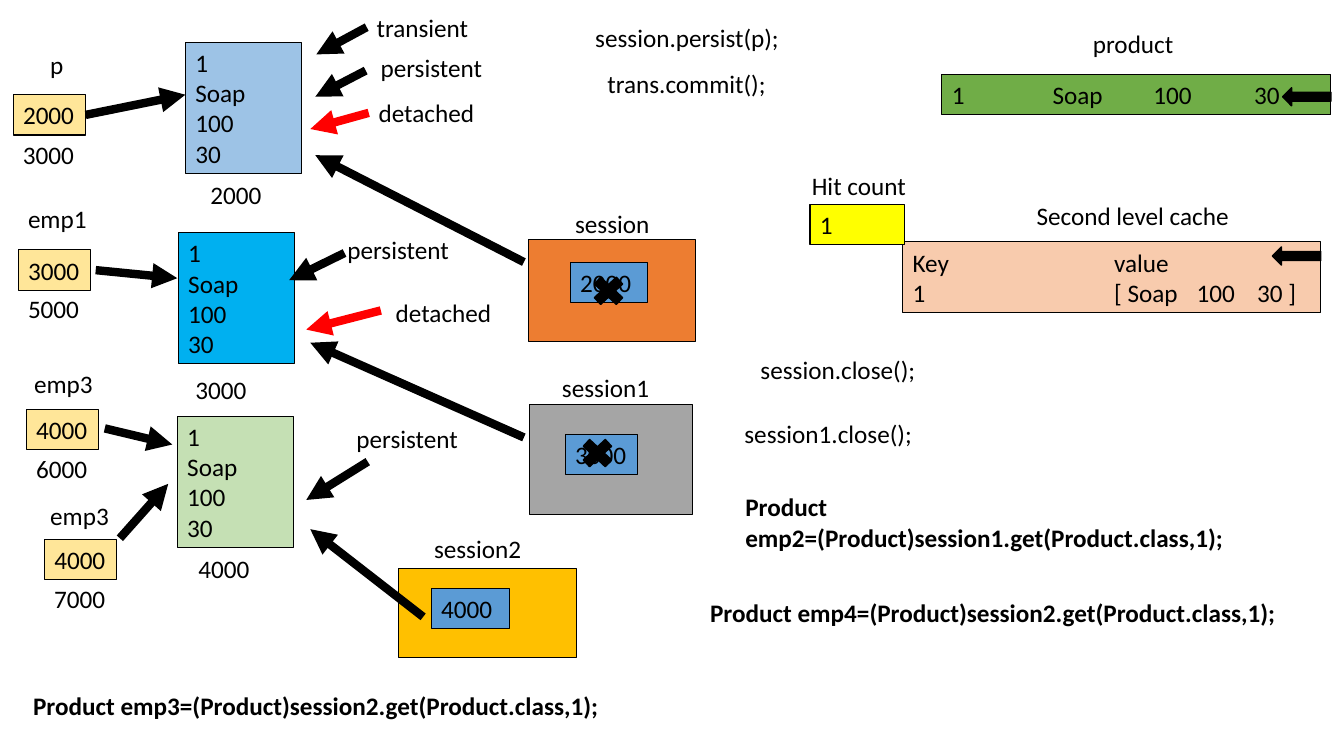
from lxml.etree import SubElement
from pptx import Presentation
from pptx.dml.color import RGBColor
from pptx.enum.shapes import MSO_CONNECTOR, MSO_SHAPE
from pptx.enum.text import MSO_ANCHOR, PP_ALIGN
from pptx.oxml.ns import qn
from pptx.util import Pt

PX = 9144  # 100 px to the inch
SLIDE_W, SLIDE_H = 1334, 750
ROW_H, POINTER_W = 40, 72
OBJECT_W, OBJECT_H = 115, 130
BLACK, RED = "000000", "FF0000"
POINTER_FILL, ID_FILL = "FFE699", "5B9BD5"
FONT = {"name": "Calibri", "size": Pt(18)}
FRAME = {"margin_left": 10 * PX, "margin_right": 10 * PX,
         "margin_top": 5 * PX, "margin_bottom": 5 * PX,
         "word_wrap": True, "vertical_anchor": MSO_ANCHOR.TOP}

PRODUCT = ["1", "Soap", "100", "30"]
OBJECTS = [(184, 42, "9DC3E6"), (177, 231, "00B0F0"), (176, 413, "C5E0B4")]
# key, held address, left, top
POINTERS = [("p", "2000", 13, 94), ("emp1", "3000", 18, 248),
            ("emp3", "4000", 26, 406), ("emp3 again", "4000", 44, 535)]
# left, top, width, height, fill, then the id's text, left, top, width
SESSIONS = [
    (525, 238, 165, 101, "ED7D31", ("2000", 566, 260, 77)),
    (526, 401, 161, 109, "A5A5A5", ("3000", 561, 431, 72)),
    (396, 564, 176, 88, "FFC000", ("4000", 428, 584, 78)),
]
# left, top, width, height, fill, lines, tab stops
TABLES = [
    (935, 74, 386, 40, "70AD47", ["\t".join(PRODUCT)], [100, 200, 300]),
    (896, 240, 415, 70, "F8CBAD", ["Key\tvalue", "1\t[ Soap\t100\t30 ]"], [200, 282, 342]),
    (804, 203, 94, 40, "FFFF00", ["1"], []),
]
# text, left, top, width
LABELS = [
    ("product", 1075, 23, 107), ("Second level cache", 1019, 194, 218),
    ("Hit count", 796, 164, 133),
    ("session", 561, 202, 97), ("session1", 548, 364, 114), ("session2", 421, 524, 114),
    ("p", 40, 44, 45), ("emp1", 18, 197, 94), ("emp3", 24, 360, 82), ("emp3", 40, 491, 105),
    ("3000", 13, 133, 84), ("5000", 18, 286, 84), ("6000", 26, 445, 84), ("7000", 44, 574, 84),
    ("2000", 199, 173, 85), ("3000", 184, 366, 84), ("4000", 187, 544, 85),
    ("persistent", 368, 47, 123), ("persistent", 335, 228, 123), ("persistent", 344, 415, 123),
    ("detached", 383, 290, 116),
    ("session.persist(p);", 581, 17, 203), ("trans.commit();", 593, 63, 189),
    ("session.close();", 745, 347, 174), ("session1.close();", 729, 410, 189),
]
STATE_LABELS = [("transient", 364, 7, 115), ("detached", 366, 92, 116)]
# text, left, top, width, height
CALLS = [
    ("Product emp2=(Product)session1.get(Product.class,1);", 730, 483, 533, 70),
    ("Product emp4=(Product)session2.get(Product.class,1);", 695, 588, 602, 40),
    ("Product emp3=(Product)session2.get(Product.class,1);", 23, 680, 602, 40),
]
# from x, from y, to x, to y, colour
ARROWS = [
    (95, 268, 176, 276, BLACK), (104, 425, 171, 441, BLACK), (119, 534, 167, 480, BLACK),
    (363, 70, 313, 96, BLACK), (342, 251, 287, 278, BLACK), (365, 458, 304, 496, BLACK),
    (378, 308, 304, 327, RED),
    (520, 260, 313, 154, BLACK), (520, 434, 308, 340, BLACK), (420, 612, 308, 525, BLACK),
]
# start shape, its side, to x, to y, colour
JOINED_ARROWS = [("p", 3, 184, 94, BLACK), ("transient", 1, 314, 54, BLACK),
                 ("detached", 1, 308, 128, RED)]
MARKS = [(MSO_SHAPE.LEFT_ARROW, 48, 18, [(1273, 87), (1263, 245)]),
         (MSO_SHAPE.MATH_MULTIPLY, 42, 39, [(583, 269), (572, 430)])]


def rgb(color):
    return RGBColor.from_string(color)


def emu(*lengths):
    return [round(v * PX) for v in lengths]


def write(shape, lines, bold=False, tabs=()):
    tf = shape.text_frame
    for key, value in FRAME.items():
        setattr(tf, key, value)
    for i, line in enumerate(lines):
        p = tf.paragraphs[0] if i == 0 else tf.add_paragraph()
        p.alignment = PP_ALIGN.LEFT
        if tabs:
            tab_list = SubElement(p._p.get_or_add_pPr(), qn("a:tabLst"))
            for pos in tabs:
                SubElement(tab_list, qn("a:tab"), pos=str(pos * PX), algn="l")
        r = p.add_run()
        r.text = line
        for key, value in FONT.items():
            setattr(r.font, key, value)
        r.font.bold = bold
        r.font.color.rgb = rgb(BLACK)


def add_box(x, y, w, h, fill, lines=(), tabs=(), kind=MSO_SHAPE.RECTANGLE, line_w=0.75):
    sp = s.shapes.add_shape(kind, *emu(x, y, w, h))
    sp.shadow.inherit = False
    sp.fill.solid()
    sp.fill.fore_color.rgb = rgb(fill)
    sp.line.color.rgb = rgb(BLACK)
    sp.line.width = Pt(line_w)
    write(sp, lines, tabs=tabs)
    return sp


def add_label(text, x, y, w, h=ROW_H, bold=False):
    tb = s.shapes.add_textbox(*emu(x, y, w, h))
    write(tb, [text], bold)
    return tb


def add_arrow(x1, y1, x2, y2, color):
    cn = s.shapes.add_connector(MSO_CONNECTOR.STRAIGHT, *emu(x1, y1, x2, y2))
    cn.line.color.rgb = rgb(color)
    cn.line.width = Pt(6)
    SubElement(cn.line._get_or_add_ln(), qn("a:tailEnd"), type="triangle")
    SubElement(cn._element.spPr, qn("a:effectLst"))
    return cn


prs = Presentation()
prs.slide_width, prs.slide_height = emu(SLIDE_W, SLIDE_H)
s = prs.slides.add_slide(prs.slide_layouts[6])

starts = {}
for x, y, fill in OBJECTS:
    add_box(x, y, OBJECT_W, OBJECT_H, fill, PRODUCT)
for key, address, x, y in POINTERS:
    starts[key] = add_box(x, y, POINTER_W, ROW_H, POINTER_FILL, [address])
for *box, (address, x, y, w) in SESSIONS:
    add_box(*box)
    add_box(x, y, w, ROW_H, ID_FILL, [address])
for table in TABLES:
    add_box(*table)
for label in LABELS:
    add_label(*label)
for label in STATE_LABELS:
    starts[label[0]] = add_label(*label)
for call in CALLS:
    add_label(*call, bold=True)
for arrow in ARROWS:
    add_arrow(*arrow)
for key, side, x, y, color in JOINED_ARROWS:
    add_arrow(x, y, x, y, color).begin_connect(starts[key], side)
for kind, w, h, places in MARKS:
    for x, y in places:
        add_box(x, y, w, h, BLACK, kind=kind, line_w=1)

prs.save("out.pptx")
